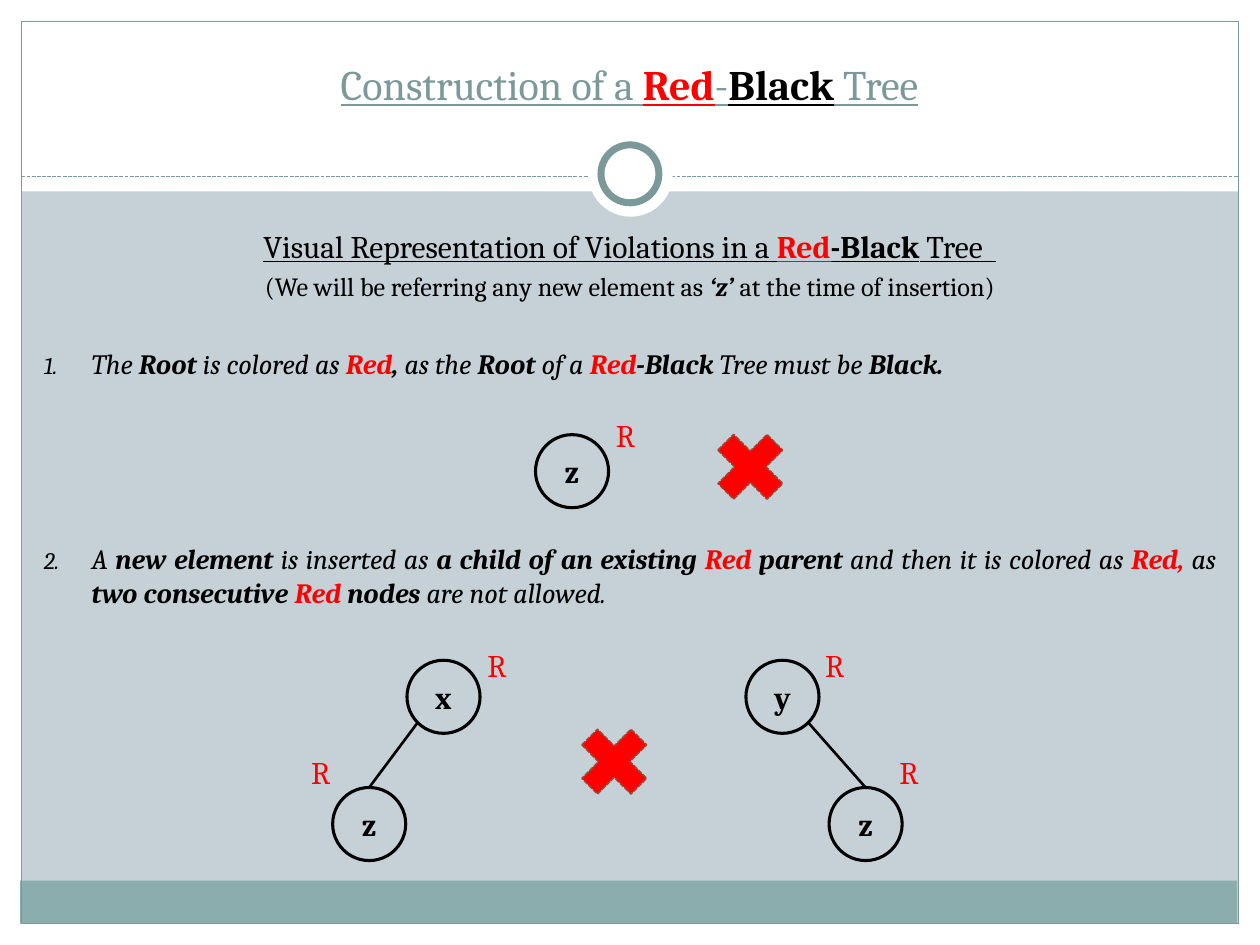
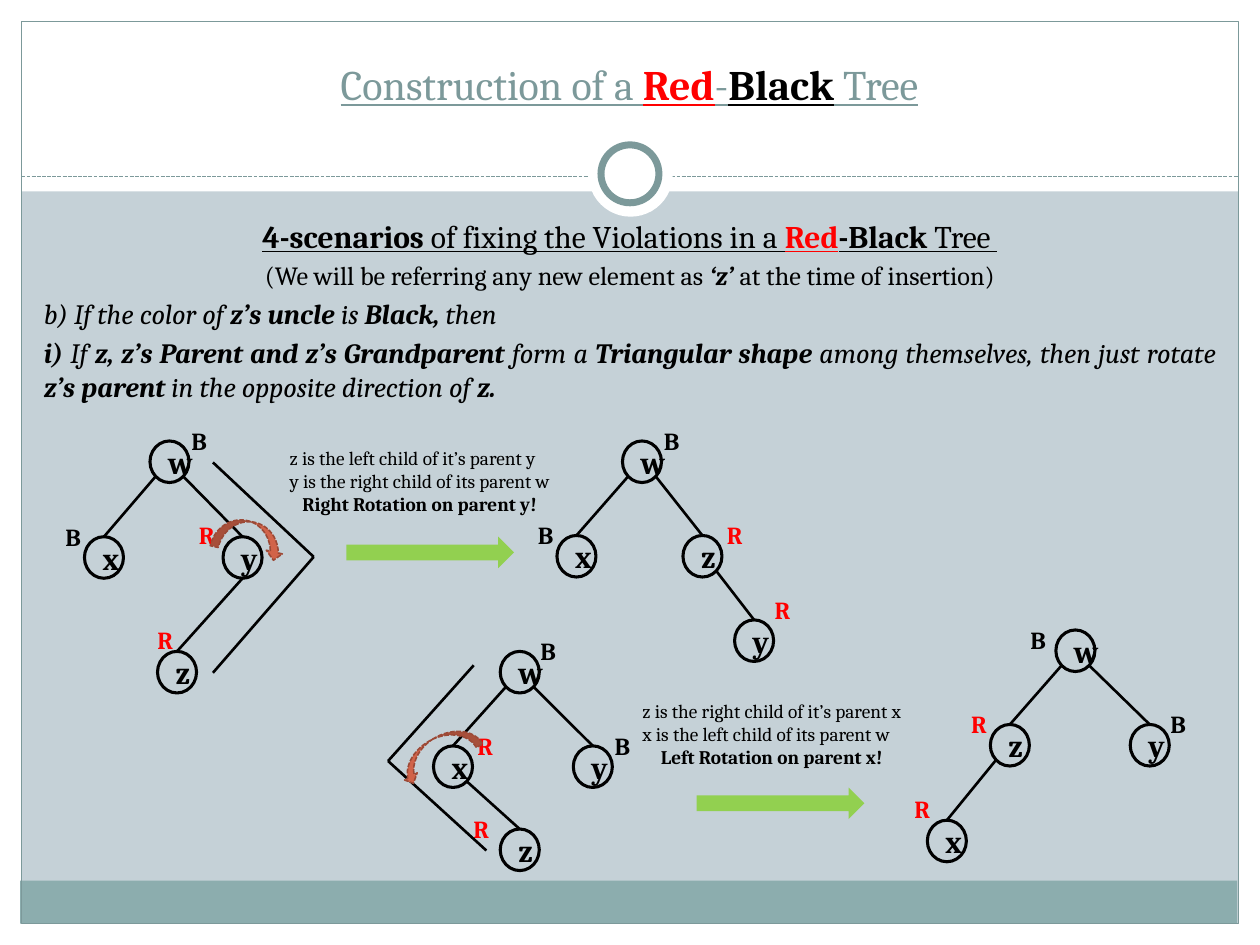
"""Two slides about violations in a red-black tree and how to repair them."""
from dataclasses import dataclass
from typing import Optional

import lxml.etree
import pptx
import pptx.dml.color
import pptx.enum.dml
import pptx.enum.shapes
import pptx.enum.text
import pptx.oxml.ns
import pptx.util

Inches = pptx.util.Inches
Shape = pptx.enum.shapes.MSO_SHAPE
Align = pptx.enum.text.PP_ALIGN
Anchor = pptx.enum.text.MSO_ANCHOR
SYS_DASH = pptx.enum.dml.MSO_LINE.SQUARE_DOT


@dataclass(frozen=True)
class Theme:
    """Colours, font and type sizes of the deck."""
    font: str = "Cambria"
    background: str = "C5D1D7"
    white: str = "FFFFFF"
    black: str = "000000"
    red: str = "FF0000"
    accent: str = "7C999A"
    footer: str = "8CADAE"
    green: str = "92D050"
    turn: str = "D16349"
    turn_edge: str = "9B4936"
    title: float = 24
    heading: float = 18
    note: float = 15
    body: float = 16
    label: float = 14
    caption: float = 11


THEME = Theme()


@dataclass(frozen=True)
class Para:
    """A paragraph: spans are (text, marks), marks being b bold, i italic, r red, k black."""
    spans: list
    size: float
    align: Align = Align.LEFT
    color: str = THEME.black
    italic: bool = False
    underline: bool = False
    before: float = 0
    numbered: bool = False


@dataclass(frozen=True)
class Node:
    """A tree node with its colour label; parent is an index in the same tree."""
    name: str
    left: float
    top: float
    mark: str
    mark_left: float
    mark_top: float
    parent: Optional[int] = None
    from_bottom: bool = False


@dataclass(frozen=True)
class NodeStyle:
    """Size of the nodes and of their labels."""
    width: float
    height: float
    mark_width: float
    mark_size: float
    mark_bold: bool


LARGE = NodeStyle(0.58, 0.58, 0.38, THEME.heading, False)
SMALL = NodeStyle(0.31, 0.33, 0.27, THEME.label, True)


def rgb(value: str):
    """Turn a hex string into a colour."""
    return pptx.dml.color.RGBColor.from_string(value)


def add_span(para, text: str, *, size: float, color: str = THEME.black, bold: bool = False,
             italic: bool = False, underline: bool = False) -> None:
    """Append formatted text to a paragraph."""
    span = para.add_run()
    span.text = text
    font = span.font
    font.name, font.size = THEME.font, pptx.util.Pt(size)
    font.bold, font.italic, font.underline = bold, italic, underline
    font.color.rgb = rgb(color)


def number_paragraph(para) -> None:
    """Give a paragraph a hanging automatic number."""
    properties = para._p.get_or_add_pPr()
    properties.set("marL", str(Inches(0.38)))
    properties.set("indent", str(-Inches(0.38)))
    qn = pptx.oxml.ns.qn
    color = lxml.etree.SubElement(properties, qn("a:buClr"))
    lxml.etree.SubElement(color, qn("a:srgbClr"), val=THEME.black)
    lxml.etree.SubElement(properties, qn("a:buSzPct"), val="85000")
    lxml.etree.SubElement(properties, qn("a:buAutoNum"), type="arabicPeriod")


def add_text(page, left: float, top: float, width: float, height: float, paras: list,
             anchor: Anchor = Anchor.TOP, wrap: bool = True) -> None:
    """Draw a text box holding the given paragraphs."""
    frame = page.shapes.add_textbox(Inches(left), Inches(top), Inches(width),
                                    Inches(height)).text_frame
    frame.word_wrap, frame.vertical_anchor = wrap, anchor
    if not wrap:
        frame.auto_size = pptx.enum.text.MSO_AUTO_SIZE.SHAPE_TO_FIT_TEXT
    for index, item in enumerate(paras):
        para = frame.add_paragraph() if index else frame.paragraphs[0]
        para.alignment = item.align
        para.space_before = pptx.util.Pt(item.before)
        if item.numbered:
            number_paragraph(para)
        for text, marks in item.spans:
            color = THEME.red if "r" in marks else THEME.black if "k" in marks else item.color
            add_span(para, text, size=item.size, color=color, bold="b" in marks,
                     italic=item.italic or "i" in marks, underline=item.underline)


def add_shape(page, kind: Shape, left: float, top: float, width: float, height: float,
              fill: Optional[str] = None, line: Optional[str] = None, weight: float = 0.75,
              dashed: bool = False):
    """Draw a preset shape without shadow."""
    shape = page.shapes.add_shape(kind, Inches(left), Inches(top), Inches(width), Inches(height))
    shape.shadow.inherit = False
    if fill:
        shape.fill.solid()
        shape.fill.fore_color.rgb = rgb(fill)
    else:
        shape.fill.background()
    if line:
        shape.line.color.rgb = rgb(line)
        shape.line.width = pptx.util.Pt(weight)
        if dashed:
            shape.line.dash_style = SYS_DASH
    else:
        shape.line.fill.background()
    return shape


def add_line(page, start: tuple, end: tuple, color: str = THEME.black, weight: float = 1.5):
    """Draw a straight line between two points."""
    line = page.shapes.add_connector(pptx.enum.shapes.MSO_CONNECTOR.STRAIGHT,
                                     *(Inches(value) for value in start + end))
    line.line.color.rgb = rgb(color)
    line.line.width = pptx.util.Pt(weight)
    lxml.etree.SubElement(line._element.spPr, pptx.oxml.ns.qn("a:effectLst"))
    return line


def add_tree(page, nodes: list, style: NodeStyle) -> None:
    """Draw nodes, their labels and the edges to their parents."""
    middle, reach = style.width / 2, 0.354
    for node in nodes:
        circle = add_shape(page, Shape.OVAL, node.left, node.top, style.width, style.height,
                           line=THEME.black, weight=1.75)
        para = circle.text_frame.paragraphs[0]
        para.alignment = Align.CENTER
        add_span(para, node.name, size=THEME.heading, bold=True)
        if node.parent is not None:
            parent = nodes[node.parent]
            side = 0 if node.from_bottom else 1 if node.left > parent.left else -1
            drop = style.height * (1 if node.from_bottom else 0.5 + reach)
            add_line(page, (parent.left + middle + side * reach * style.width, parent.top + drop),
                     (node.left + middle, node.top))
        color = THEME.red if node.mark == "R" else THEME.black
        marks = "b" if style.mark_bold else ""
        add_text(page, node.mark_left, node.mark_top, style.mark_width, 0.34,
                 [Para([(node.mark, marks)], style.mark_size, color=color)])


def add_cross(page, left: float, top: float) -> None:
    """Draw the red cross of a forbidden state."""
    add_shape(page, Shape.MATH_MULTIPLY, left, top, 0.75, 0.75, THEME.red, THEME.turn_edge,
              0.9, dashed=True)


def add_turn(page, left: float, top: float, width: float, height: float, angle: float,
             flipped: bool = False) -> None:
    """Draw the curved arrow of a rotation."""
    arrow = add_shape(page, Shape.CURVED_DOWN_ARROW, left, top, width, height, THEME.turn,
                      THEME.turn_edge, 0.9, dashed=True)
    arrow.rotation = angle
    if flipped:
        arrow._element.spPr.xfrm.set("flipH", "1")


def add_step(page, left: float, top: float, lines: list, arrow_left: float,
             arrow_top: float) -> None:
    """Draw a rotation caption, its last line bold, and the arrow to the result."""
    paras = [Para([(line, "")], THEME.caption) for line in lines[:-1]]
    paras.append(Para([(lines[-1], "b")], THEME.caption, Align.CENTER))
    add_text(page, left, top, 2.43, 0.66, paras, wrap=False)
    add_shape(page, Shape.RIGHT_ARROW, arrow_left, arrow_top, 1.33, 0.25, THEME.green)


def add_page(deck):
    """Add a slide with the shared frame, bands, ring and title."""
    page = deck.slides.add_slide(deck.slide_layouts[6])
    page.background.fill.solid()
    page.background.fill.fore_color.rgb = rgb(THEME.background)
    for bounds in ((0, 7.33, 10, 0.17), (0, 0, 10, 1.52), (0, 0, 0.17, 7.5), (9.83, 0, 0.17, 7.5)):
        add_shape(page, Shape.RECTANGLE, *bounds, fill=THEME.white)
    add_shape(page, Shape.RECTANGLE, 0.16, 6.99, 9.66, 0.34, THEME.footer)
    add_shape(page, Shape.RECTANGLE, 0.17, 0.17, 9.66, 7.16, line=THEME.accent)
    rule = add_line(page, (0.17, 1.4), (9.83, 1.4), THEME.accent, 0.75)
    rule.line.dash_style = SYS_DASH
    add_shape(page, Shape.OVAL, 4.67, 1.05, 0.67, 0.67, THEME.white)
    add_shape(page, Shape.OVAL, 4.77, 1.15, 0.46, 0.46, THEME.white, THEME.accent, 4)
    title = [("Construction of a ", ""), ("Red", "br"), ("-", ""), ("Black", "bk"), (" Tree", "")]
    add_text(page, 0.33, 0.25, 9.33, 0.83, [Para(title, THEME.title, Align.CENTER, THEME.accent,
                                                 underline=True)], Anchor.MIDDLE)
    return page


def add_body(page, top: float, heading: list, paras: list) -> None:
    """Draw the heading, the note about z and the body paragraphs."""
    note = [("(We will be referring any new element as ", ""), ("‘z’", "bi"),
            (" at the time of insertion)", "")]
    add_text(page, 0.25, top, 9.5, 5.18, [
        Para(heading, THEME.heading, Align.CENTER, underline=True),
        Para(note, THEME.note, Align.CENTER, before=3), *paras])


def build_violations(deck) -> None:
    """Build the slide that shows the two violations."""
    page = add_page(deck)
    root_rule = [("The ", ""), ("Root ", "b"), ("is colored as ", ""), ("Red", "br"), (", ", "b"),
                 ("as the", ""), (" Root ", "b"), ("of a ", ""), ("Red", "br"), ("-Black ", "b"),
                 ("Tree must be", ""), (" Black.", "b")]
    child_rule = [("A ", ""), ("new element", "b"), (" is inserted as ", ""),
                  ("a child of an existing ", "b"), ("Red", "br"), (" parent", "b"),
                  (" and then it is colored as ", ""), ("Red, ", "br"), ("as ", ""),
                  ("two consecutive ", "b"), ("Red ", "br"), ("nodes ", "b"),
                  ("are not allowed.", "")]
    add_body(page, 1.75, [("Visual Representation of Violations in a ", ""), ("Red", "br"),
                          ("-Black", "b"), (" Tree  ", "")], [
        Para(root_rule, THEME.body, italic=True, before=25.8, numbered=True),
        Para(child_rule, THEME.body, Align.JUSTIFY, italic=True, before=92.5, numbered=True)])
    add_tree(page, [Node("z", 4.25, 3.45, "R", 4.79, 3.25)], LARGE)
    add_tree(page, [Node("x", 3.23, 5.24, "R", 3.77, 5.08),
                    Node("z", 2.64, 6.25, "R", 2.37, 5.93, 0)], LARGE)
    add_tree(page, [Node("y", 5.92, 5.24, "R", 6.45, 5.08),
                    Node("z", 6.58, 6.25, "R", 7.04, 5.93, 0)], LARGE)
    add_cross(page, 5.58, 3.33)
    add_cross(page, 4.5, 5.67)


def build_triangle_case(deck) -> None:
    """Build the slide that shows the rotations for a triangular shape."""
    page = add_page(deck)
    condition = [("b) If the color of ", ""), ("z’s uncle ", "b"), ("is ", ""), ("Black, ", "b"),
                 ("then ", "")]
    action = [("i) ", "b"), ("If ", ""), ("z, z’s Parent and z’s Grandparent", "b"),
              (" form a ", ""), ("Triangular shape", "b"),
              (" among themselves, then just rotate ", ""), ("z’s parent ", "b"),
              ("in the opposite direction of", ""), (" z.", "b")]
    add_body(page, 1.67, [("4-scenarios", "b"), (" of fixing the Violations in a ", ""),
                          ("Red", "br"), ("-Black", "b"), (" Tree ", "")], [
        Para(condition, THEME.body, italic=True, before=3.2),
        Para(action, THEME.body, Align.JUSTIFY, italic=True, before=3.2)])
    trees = [
        [Node("w", 1.19, 3.5, "B", 1.42, 3.33), Node("x", 0.67, 4.26, "B", 0.42, 4.09, 0),
         Node("y", 1.77, 4.26, "R", 1.48, 4.08, 0),
         Node("z", 1.25, 5.17, "R", 1.15, 4.91, 2, from_bottom=True)],
        [Node("w", 4.94, 3.5, "B", 5.17, 3.33), Node("x", 4.42, 4.25, "B", 4.17, 4.08, 0),
         Node("z", 5.42, 4.25, "R", 5.67, 4.08, 0), Node("y", 5.83, 4.92, "R", 6.05, 4.67, 2)],
        [Node("w", 3.97, 5.17, "B", 4.19, 5), Node("x", 3.44, 5.92, "R", 3.69, 5.75, 0),
         Node("y", 4.55, 5.92, "B", 4.78, 5.75, 0), Node("z", 3.97, 6.58, "R", 3.66, 6.41, 1)],
        [Node("w", 8.38, 5, "B", 8.08, 4.91), Node("z", 7.86, 5.75, "R", 7.61, 5.58, 0),
         Node("y", 8.97, 5.75, "B", 9.19, 5.58, 0), Node("x", 7.36, 6.51, "R", 7.16, 6.25, 1)]]
    for tree in trees:
        add_tree(page, tree, SMALL)
    for tip, ends in (((2.49, 4.42), ((1.69, 3.67), (1.69, 5.34))),
                      ((3.08, 6.04), ((3.76, 5.28), (3.86, 6.75)))):
        for end in ends:
            add_line(page, end, tip)
    add_turn(page, 1.69, 4.14, 0.58, 0.26, 13)
    add_turn(page, 3.13, 5.86, 0.69, 0.23, 330.4, flipped=True)
    add_step(page, 2.2, 3.49, ["z is the left child of it’s parent y",
                               "y is the right child of its parent w",
                               "Right Rotation on parent y!"], 2.75, 4.26)
    add_step(page, 5, 5.5, ["z is the right child of it’s parent x",
                            "x is the left child of its parent w",
                            "Left Rotation on parent x!"], 5.53, 6.25)


deck = pptx.Presentation()
deck.slide_width, deck.slide_height = Inches(10), Inches(7.5)
build_violations(deck)
build_triangle_case(deck)
deck.save("out.pptx")
